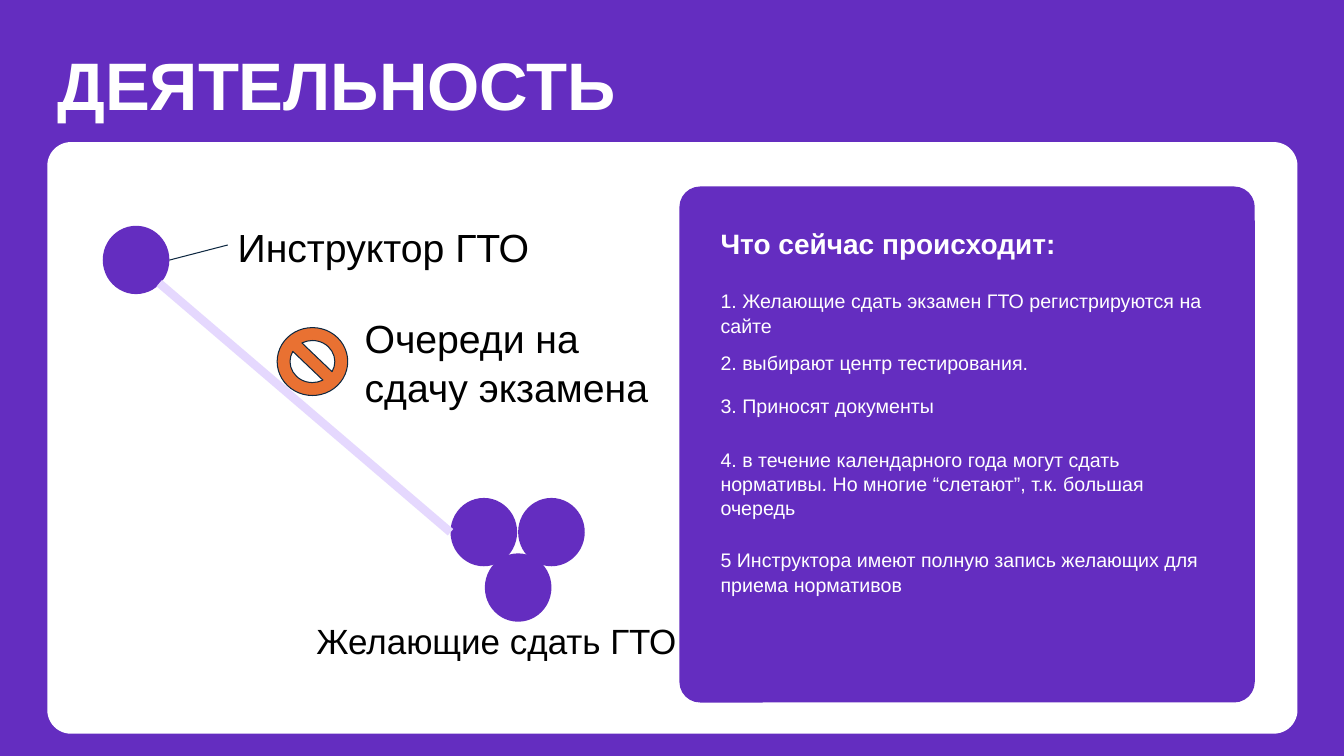
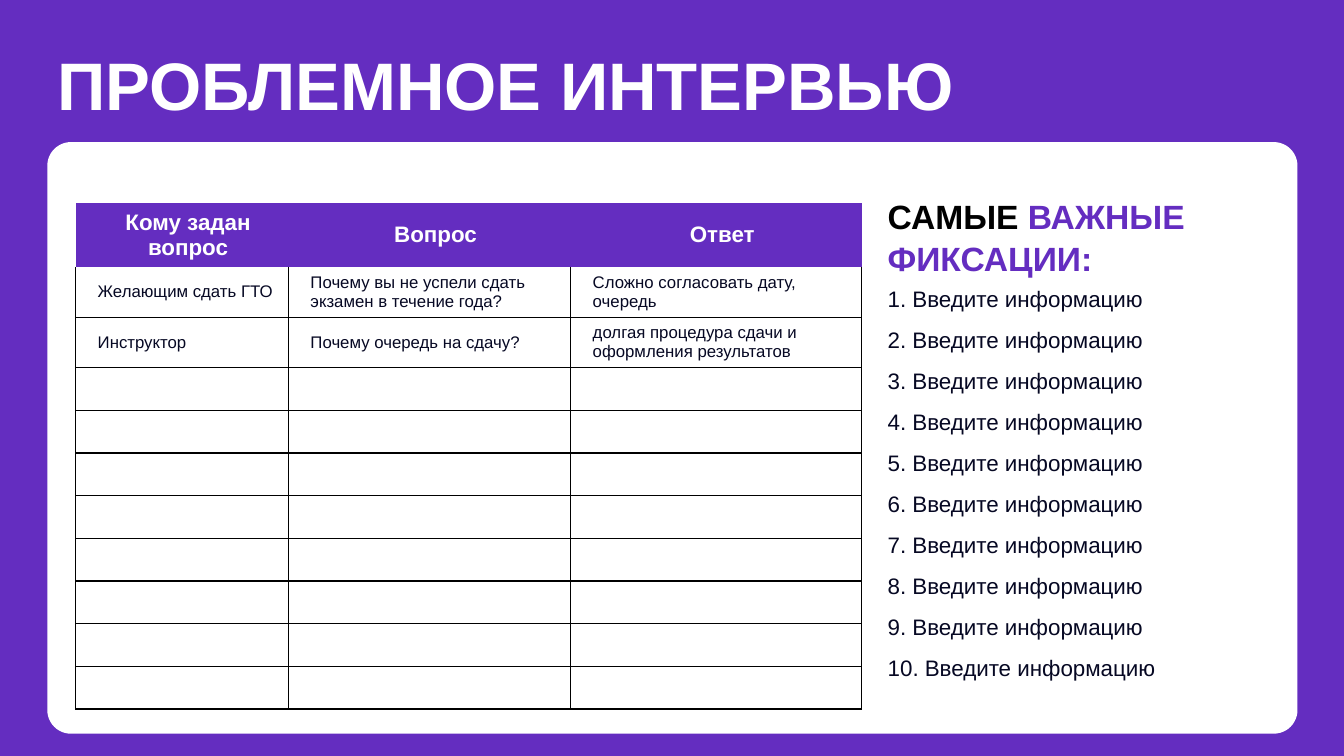
import pptx
import pptx.dml.color
import pptx.enum.shapes
import pptx.enum.text
import pptx.util
from lxml import etree
from pptx.oxml.ns import qn

Pt = pptx.util.Pt
SHAPE = pptx.enum.shapes.MSO_SHAPE
FONT = "Arial"
COLORS = {
    "purple": "642DC0",
    "lilac": "E5D8FE",
    "orange": "E97132",
    "navy": "0E2841",
    "ink": "060823",
    "black": "000000",
    "white": "FFFFFF",
}

# Slide 1: top and text of each step
STEPS = [
    (202.3, "1. Желающие сдать экзамен ГТО регистрируются на сайте"),
    (246.2, "2. выбирают центр тестирования."),
    (277.2, "3. Приносят документы"),
    (315.4, "4. в течение календарного года могут сдать нормативы. "
            "Но многие “слетают”, т.к. большая очередь"),
    (387.4, "5 Инструктора имеют полную запись желающих для приема нормативов"),
]
CIRCLES = [(73.4, 161.3), (321.8, 355.7), (370.1, 355.7), (346.3, 395.3)]

# Slide 2: interview table
HEADERS = ["Кому задан вопрос", "Вопрос", "Ответ"]
ANSWERS = [
    ["Желающим сдать ГТО", "Почему вы не успели сдать экзамен в течение года?",
     "Сложно согласовать дату, очередь"],
    ["Инструктор", "Почему очередь на сдачу?",
     "долгая процедура сдачи и оформления результатов"],
]
EMPTY_ROWS = 8
COLUMN_WIDTHS = [152, 201.6, 208]
ROW_HEIGHTS = [45, 36, 36] + [30.5] * EMPTY_ROWS
NOTE_COUNT = 10


def rgb(name):
    return pptx.dml.color.RGBColor.from_string(COLORS[name])


def format_run(run, size, color, bold=False):
    run.font.name = FONT
    run.font.size = Pt(size)
    run.font.bold = bold
    run.font.color.rgb = rgb(color)


def add_text(slide, left, top, width, height, parts, size, bold=False, inset=3.6):
    """Add a text box; parts is a list of (text, color)."""
    box = slide.shapes.add_textbox(Pt(left), Pt(top), Pt(width), Pt(height))
    frame = box.text_frame
    frame.word_wrap = True
    frame.margin_left = frame.margin_right = Pt(7.2)
    frame.margin_top = frame.margin_bottom = Pt(inset)
    paragraph = frame.paragraphs[0]
    paragraph.line_spacing = 1.04
    for text, color in parts:
        run = paragraph.add_run()
        run.text = text
        format_run(run, size, color, bold)


def add_figure(slide, kind, left, top, width, height, fill, adjustment=None, outline=None):
    shape = slide.shapes.add_shape(kind, Pt(left), Pt(top), Pt(width), Pt(height))
    shape.shadow.inherit = False
    shape.fill.solid()
    shape.fill.fore_color.rgb = rgb(fill)
    if adjustment is not None:
        shape.adjustments[0] = adjustment
    if outline:
        shape.line.color.rgb = rgb(outline)
        shape.line.width = Pt(0.75)
    else:
        shape.line.fill.background()


def add_line(slide, start, end, color, width):
    line = slide.shapes.add_connector(
        pptx.enum.shapes.MSO_CONNECTOR.STRAIGHT, *(Pt(value) for value in start + end))
    line.line.color.rgb = rgb(color)
    line.line.width = Pt(width)
    etree.SubElement(line._element.spPr, qn("a:effectLst"))


def set_borders(cell, visible):
    """Draw the named sides in black and clear the others."""
    properties = cell._tc.get_or_add_tcPr()
    for index, side in enumerate(("L", "R", "T", "B")):
        line = etree.Element(qn("a:ln" + side), w=str(Pt(1)))
        if side in visible:
            fill = etree.SubElement(line, qn("a:solidFill"))
            etree.SubElement(fill, qn("a:srgbClr"), val=COLORS["black"])
        else:
            etree.SubElement(line, qn("a:noFill"))
        properties.insert(index, line)


def fill_cell(cell, text, is_header, borders):
    cell.fill.solid()
    cell.fill.fore_color.rgb = rgb("purple" if is_header else "white")
    set_borders(cell, borders)
    cell.vertical_anchor = pptx.enum.text.MSO_ANCHOR.MIDDLE
    if not text:
        return
    cell.text_frame.text = text
    paragraph = cell.text_frame.paragraphs[0]
    paragraph._p.get_or_add_pPr().set("marL", str(Pt(8.6)))
    if is_header:
        paragraph.alignment = pptx.enum.text.PP_ALIGN.CENTER
        format_run(paragraph.runs[0], 16, "white", True)
    else:
        format_run(paragraph.runs[0], 12, "ink")


def add_interview_table(slide, left, top):
    rows = [HEADERS] + ANSWERS + [[""] * len(HEADERS)] * EMPTY_ROWS
    table = slide.shapes.add_table(
        len(rows), len(HEADERS), Pt(left), Pt(top),
        Pt(sum(COLUMN_WIDTHS)), Pt(sum(ROW_HEIGHTS))).table
    table.first_row = table.horz_banding = False
    for column, width in zip(table.columns, COLUMN_WIDTHS):
        column.width = Pt(width)
    for row, height in zip(table.rows, ROW_HEIGHTS):
        row.height = Pt(height)
    for row_index, texts in enumerate(rows):
        borders = ("", "LRB")[row_index] if row_index < 2 else "LRTB"
        for column_index, text in enumerate(texts):
            fill_cell(table.cell(row_index, column_index), text, row_index == 0, borders)


def add_base_slide(presentation, title):
    """Purple slide with a white card and a title."""
    slide = presentation.slides.add_slide(presentation.slide_layouts[6])
    slide.background.fill.solid()
    slide.background.fill.fore_color.rgb = rgb("purple")
    add_figure(slide, SHAPE.ROUNDED_RECTANGLE, 33.8, 101.5, 893, 422.6, "white", 0.04)
    add_text(slide, 33.8, 25.2, 703.4, 65.5, [(title, "white")], 48, bold=True)
    return slide


def build_activity_slide(presentation):
    slide = add_base_slide(presentation, "ДЕЯТЕЛЬНОСТЬ")

    # Panel with the steps
    add_figure(slide, SHAPE.ROUNDED_RECTANGLE, 485.3, 133.2, 411, 368.6, "purple", 0.04)
    add_text(slide, 507.6, 157, 343.4, 31.7, [("Что сейчас происходит:", "white")], 20, bold=True)
    for top, text in STEPS:
        add_text(slide, 507.6, top, 364.3, 41, [(text, "white")], 14)

    # Diagram of instructor and queue
    for left, top in CIRCLES:
        add_figure(slide, SHAPE.OVAL, left, top, 47.6, 48.8, "purple")
    add_line(slide, (113.8, 202.3), (321.8, 380.2), "lilac", 6)
    add_line(slide, (162.7, 175), (121, 185.8), "navy", 0.75)
    add_figure(slide, SHAPE.NO_SYMBOL, 198, 234, 50.4, 48.5, "orange", 0.19, "navy")
    add_text(slide, 162.7, 151.2, 249, 48.2, [("Инструктор ГТО", "black")], 28, inset=7.2)
    add_text(slide, 253.4, 216, 233.3, 46, [("Очереди на сдачу экзамена", "black")], 28, inset=7.2)
    add_text(slide, 218.9, 434.2, 285.8, 44.6, [("Желающие сдать ГТО", "black")], 25, inset=7.2)


def build_interview_slide(presentation):
    slide = add_base_slide(presentation, "ПРОБЛЕМНОЕ ИНТЕРВЬЮ")
    add_interview_table(slide, 54, 145)

    # Key findings
    add_text(slide, 627, 135.4, 256.3, 65.5,
             [("САМЫЕ ", "black"), ("ВАЖНЫЕ ФИКСАЦИИ:", "purple")], 24, bold=True)
    for index in range(NOTE_COUNT):
        add_text(slide, 627, 199.4 + 29.28 * index, 270.7, 26.6,
                 [(f"{index + 1}. Введите информацию", "ink")], 16)


def main():
    presentation = pptx.Presentation()
    presentation.slide_width = Pt(960)
    presentation.slide_height = Pt(540)
    build_activity_slide(presentation)
    build_interview_slide(presentation)
    presentation.save("out.pptx")


if __name__ == "__main__":
    main()
